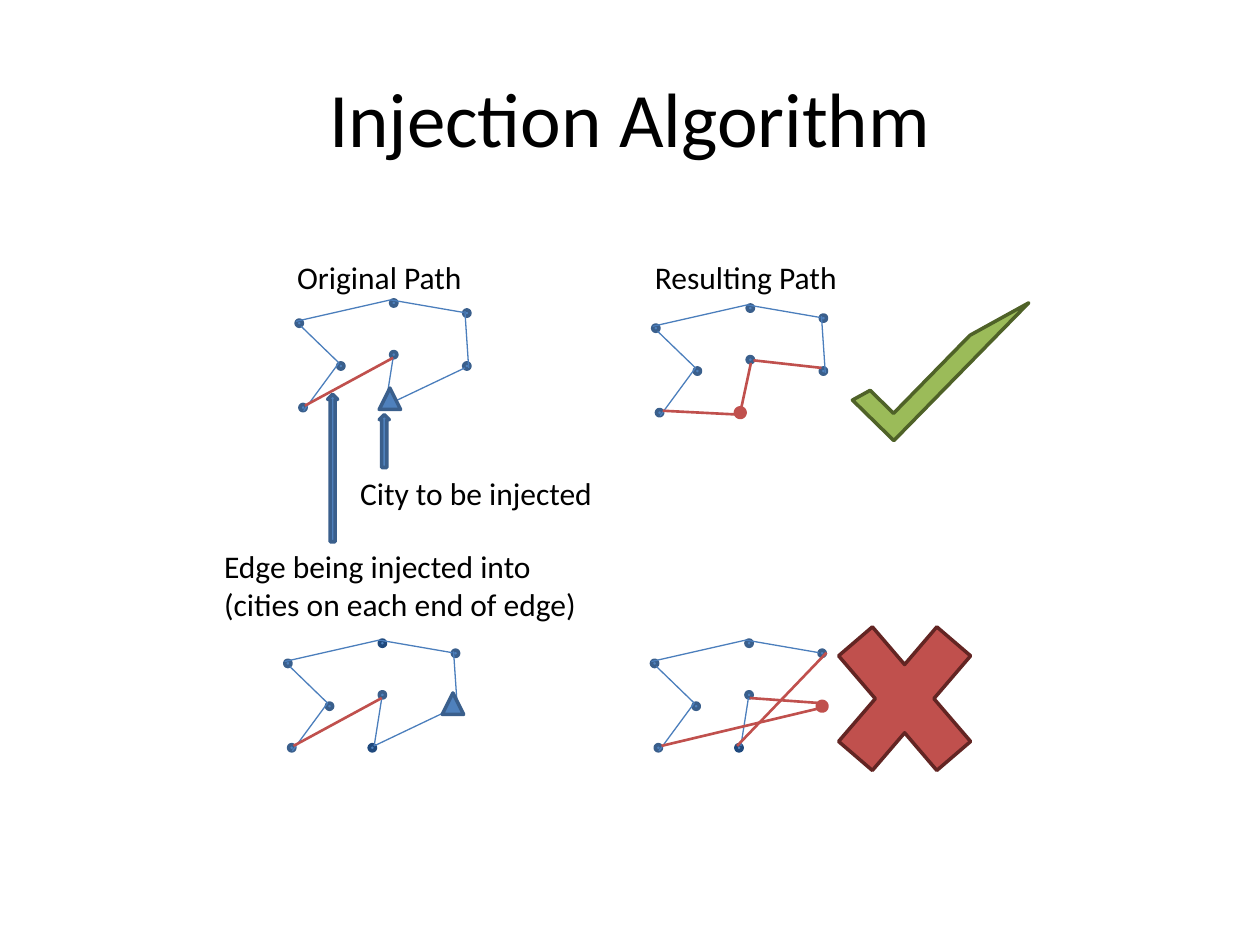
from lxml.etree import SubElement
from pptx import Presentation
from pptx.dml.color import RGBColor
from pptx.enum.shapes import MSO_CONNECTOR, MSO_SHAPE
from pptx.enum.text import MSO_ANCHOR, MSO_AUTO_SIZE, PP_ALIGN
from pptx.oxml.ns import qn
from pptx.util import Inches, Pt

COLORS = {
    "black": "000000", "blue": "4F81BD", "outline": "3A5F8C", "navy": "1F497D",
    "path": "4B7EBC", "red": "C0504D", "maroon": "632523",
    "green": "9BBB59", "olive": "4F6228",
}
DOT = 0.05
CITIES = {
    "west": (0, 0), "top": (0.75, -0.16), "elbow": (0.33, 0.34),
    "east_low": (1.33, 0.34), "east_high": (1.33, -0.08),
    "southwest": (0.03, 0.67), "mid": (0.75, 0.25), "south": (0.67, 0.67),
}
EDGES = {
    "west_elbow": (0.04, 0.05, 0.34, 0.34),
    "top_east": (0.75, -0.16, 1.33, -0.06),
    "top_west": (0.75, -0.16, 0, 0.01),
    "elbow_southwest": (0.34, 0.34, 0.06, 0.72),
    "east": (1.34, -0.07, 1.37, 0.38),
    "south_east": (0.71, 0.68, 1.34, 0.38),
    "south_mid": (0.71, 0.68, 0.77, 0.3),
}
SHARED = ["west_elbow", "top_east", "top_west", "elbow_southwest"]
TARGET_EDGE = (0.07, 0.68, 0.77, 0.3)


def rgb(name):
    """Return the named colour."""
    return RGBColor.from_string(COLORS[name])


def write(tf, text, size=18, color="black", align=PP_ALIGN.LEFT):
    """Fill a text frame with one paragraph per line of text."""
    for i, line in enumerate(text.split("\n")):
        p = tf.add_paragraph() if i else tf.paragraphs[0]
        p.alignment = align
        r = p.add_run()
        r.text = line
        r.font.name = "Calibri"
        r.font.size = Pt(size)
        r.font.color.rgb = rgb(color)


class Canvas:
    """Draw styled elements on the current slide."""

    def __init__(self, s):
        """Keep the slide."""
        self.s = s

    def title(self, text):
        """Place and fill the title."""
        sp = self.s.shapes.title
        sp.left, sp.top, sp.width, sp.height = map(Inches, (0.5, 0.3, 9, 1.25))
        sp.text_frame.vertical_anchor = MSO_ANCHOR.MIDDLE
        write(sp.text_frame, text, size=44, align=PP_ALIGN.CENTER)

    def label(self, text, *box):
        """Add an unwrapped text box."""
        tf = self.s.shapes.add_textbox(*map(Inches, box)).text_frame
        tf.word_wrap = False
        tf.auto_size = MSO_AUTO_SIZE.SHAPE_TO_FIT_TEXT
        write(tf, text)

    def shape(self, kind, *box, fill="blue", line="outline", weight=2):
        """Add a filled and outlined preset shape."""
        sp = self.s.shapes.add_shape(kind, *map(Inches, box))
        sp.shadow.inherit = False
        sp.fill.solid()
        sp.fill.fore_color.rgb = rgb(fill)
        sp.line.color.rgb = rgb(line)
        sp.line.width = Pt(weight)
        return sp

    def line(self, *ends, color="path", weight=0.75):
        """Add a straight line."""
        cxn = self.s.shapes.add_connector(MSO_CONNECTOR.STRAIGHT, *map(Inches, ends))
        cxn.line.color.rgb = rgb(color)
        cxn.line.width = Pt(weight)
        SubElement(cxn._element.spPr, qn("a:effectLst"))

    def graph(self, x, y, omit=(), edges=(), red_edges=(), dots=None, triangle=None):
        """Add a tour whose west city is at x, y."""
        for city, (dx, dy) in CITIES.items():
            if city not in omit:
                self.shape(MSO_SHAPE.OVAL, x + dx, y + dy, DOT, DOT,
                           **(dots or {}).get(city, {}))
        for name in SHARED + list(edges):
            x1, y1, x2, y2 = EDGES[name]
            self.line(x + x1, y + y1, x + x2, y + y2)
        for x1, y1, x2, y2 in red_edges:
            self.line(x + x1, y + y1, x + x2, y + y2, color="red", weight=1.5)
        if triangle:
            dx, dy = triangle
            self.shape(MSO_SHAPE.ISOSCELES_TRIANGLE, x + dx, y + dy, 0.17, 0.17)


prs = Presentation()
prs.slide_width, prs.slide_height = Inches(10), Inches(7.5)
c = Canvas(prs.slides.add_slide(prs.slide_layouts[5]))
c.title("Injection Algorithm")

navy = {"line": "navy"}
injected = {"line": "red", "weight": 4}
before = ["east", "south_east", "south_mid"]

c.graph(2.35, 2.54, omit=["south"], edges=before, red_edges=[TARGET_EDGE],
        triangle=(0.66, 0.54))
c.graph(5.18, 2.58, edges=["east"], dots={"south": injected},
        red_edges=[(0.08, 0.68, 0.67, 0.71), (0.78, 0.3, 0.69, 0.72),
                   (1.34, 0.34, 0.8, 0.28)])
c.graph(2.26, 5.24, omit=["east_low"], edges=before, red_edges=[TARGET_EDGE],
        dots={"top": navy, "south": navy}, triangle=(1.25, 0.26))
c.graph(5.17, 5.24, edges=["south_mid"],
        dots={"south": navy, "east_low": {"fill": "red", **injected}},
        red_edges=[(1.34, 0.34, 0.78, 0.3), (0.08, 0.68, 1.34, 0.38),
                   (0.68, 0.68, 1.39, -0.06)])

c.shape(MSO_SHAPE.UP_ARROW, 3.01, 3.29, 0.08, 0.42)
c.shape(MSO_SHAPE.UP_ARROW, 2.6, 3.13, 0.08, 1.17)
c.label("City to be injected", 2.76, 3.71, 2.07, 0.4)
c.label("Edge being injected into\n(cities on each end of edge)", 1.68, 4.29, 3.04, 0.71)
c.label("Original Path", 2.26, 2, 1.52, 0.4)
c.label("Resulting Path", 5.1, 2, 1.66, 0.4)

c.shape(MSO_SHAPE.MATH_MULTIPLY, 6.43, 4.67, 1.5, 1.75, fill="red", line="maroon")
check = c.shape(MSO_SHAPE.HALF_FRAME, 6.7, 2.56, 1.53, 0.46, fill="green", line="olive")
check.rotation = 314.4
check._element.spPr.find(qn("a:xfrm")).set("flipV", "1")

prs.save("out.pptx")
